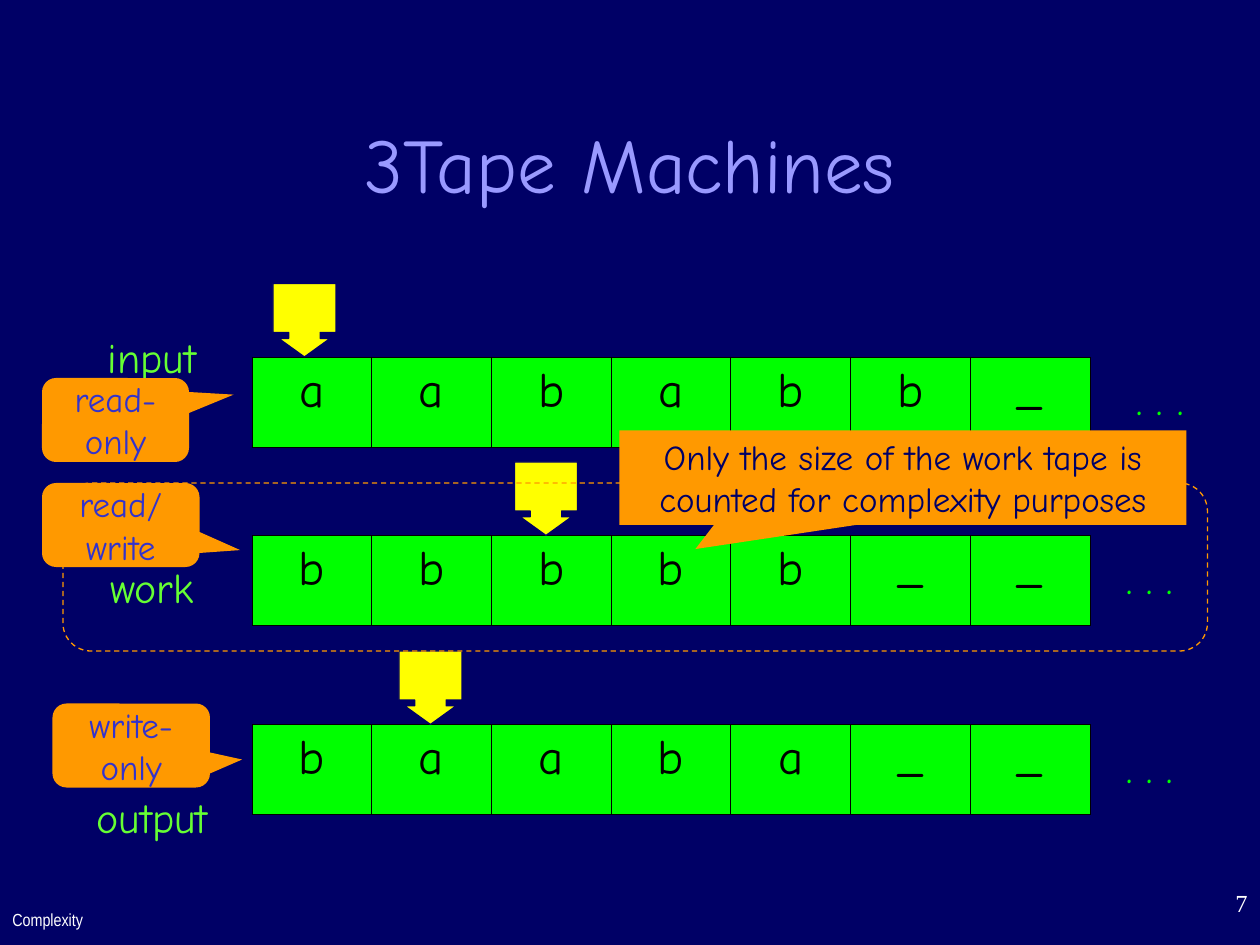
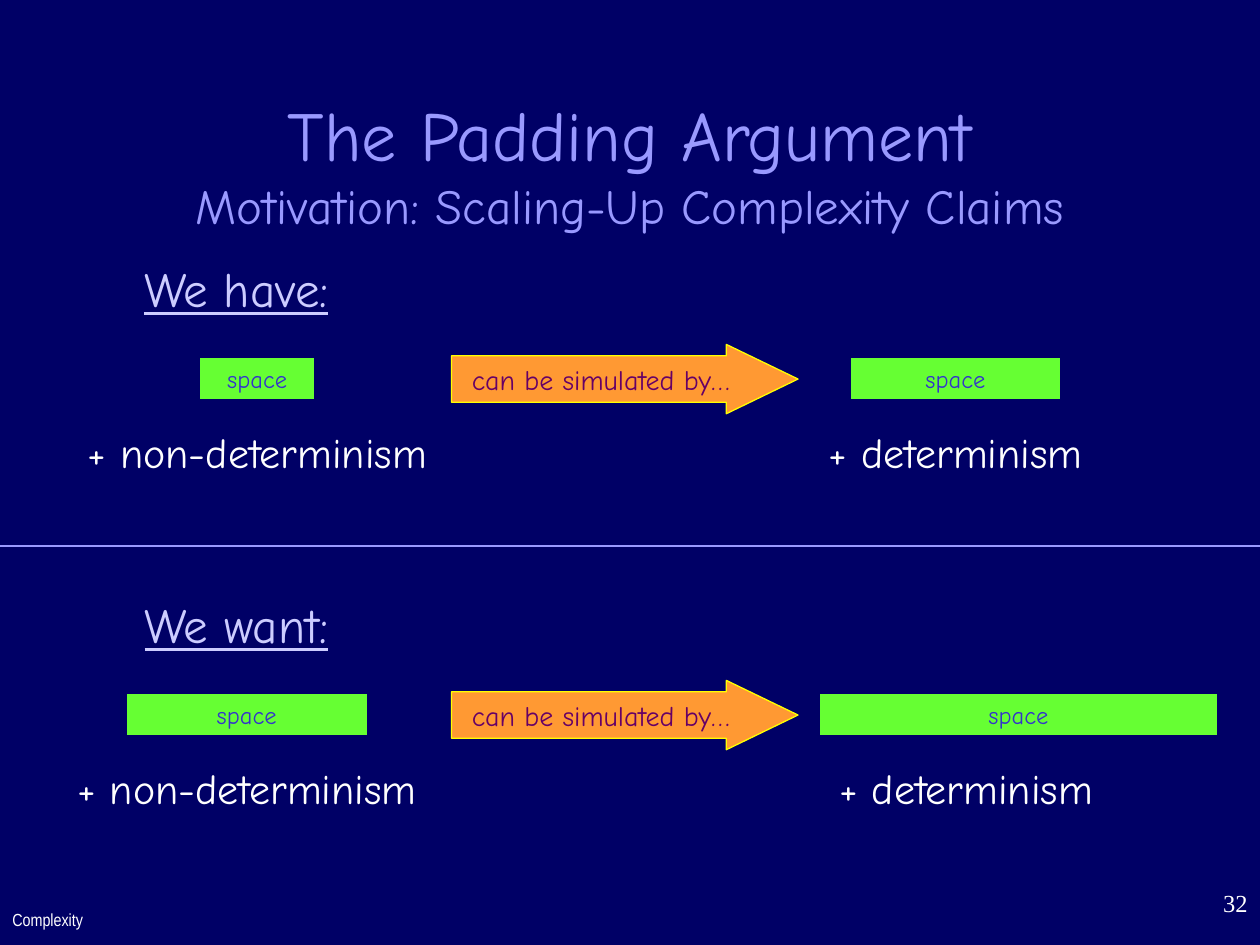
import dataclasses
import typing

import lxml.etree
import pptx
import pptx.dml.color
import pptx.enum.dml
import pptx.enum.shapes
import pptx.enum.text
import pptx.oxml.ns
import pptx.shapes.autoshape
import pptx.slide
import pptx.text.text
import pptx.util

RGBColor = pptx.dml.color.RGBColor
Shape = pptx.enum.shapes.MSO_SHAPE
Align = pptx.enum.text.PP_ALIGN
Anchor = pptx.enum.text.MSO_ANCHOR
qn = pptx.oxml.ns.qn

EMU_PER_PX = 7620
SLIDE_WIDTH, SLIDE_HEIGHT = 1200, 900

NAVY = RGBColor(0x00, 0x00, 0x66)
LAVENDER = RGBColor(0x99, 0x99, 0xFF)
PALE_LAVENDER = RGBColor(0xCC, 0xCC, 0xFF)
BLUE = RGBColor(0x33, 0x33, 0xCC)
PURPLE = RGBColor(0x66, 0x00, 0x66)
YELLOW = RGBColor(0xFF, 0xFF, 0x00)
ORANGE = RGBColor(0xFF, 0x99, 0x00)
ARROW_ORANGE = RGBColor(0xFF, 0x99, 0x33)
GREEN = RGBColor(0x00, 0xFF, 0x00)
LIME = RGBColor(0x66, 0xFF, 0x33)
BLACK = RGBColor(0x00, 0x00, 0x00)
WHITE = RGBColor(0xFF, 0xFF, 0xFF)

BODY_FONT = "Comic Neue"
LINE_WIDTH = pptx.util.Pt(0.75)
CELL_BORDER = pptx.util.Pt(0.45)
CELL_WIDTH, CELL_HEIGHT = 114, 86


class Area(typing.NamedTuple):
    left: int
    top: int
    width: int
    height: int


@dataclasses.dataclass(frozen=True)
class Tape:
    symbols: str
    top: int
    head_left: int
    dots_left: int


@dataclasses.dataclass(frozen=True)
class Callout:
    text: str
    area: Area
    adjustments: tuple[float, ...]
    color: RGBColor = BLUE
    kind: Shape = Shape.ROUNDED_RECTANGULAR_CALLOUT


@dataclasses.dataclass(frozen=True)
class Machine:
    caption: str
    bar_left: int
    bar_width: int
    caption_left: int
    caption_width: int


@dataclasses.dataclass(frozen=True)
class Claim:
    heading: str
    top: int
    machines: tuple[Machine, Machine]


TAPES = (
    Tape("aababb_", 340, 260, 1050),
    Tape("bbbbb__", 510, 490, 1040),
    Tape("baaba__", 690, 380, 1040),
)

CALLOUTS = (
    Callout("read-only", Area(40, 360, 140, 80), (0.804, -0.302, 0.167)),
    Callout("write-only", Area(50, 670, 150, 80), (0.704, 0.167, 0.167)),
    Callout("read/\nwrite", Area(40, 460, 150, 80), (0.758, 0.299, 0.167)),
    Callout(
        "Only the size of the work tape is counted for complexity purposes",
        Area(590, 410, 540, 90),
        (-0.366, 0.755),
        NAVY,
        Shape.RECTANGULAR_CALLOUT,
    ),
)

CLAIMS = (
    Claim("We have:", 240, (
        Machine("+ non-determinism", 190, 110, 50, 390),
        Machine("+ determinism", 810, 200, 710, 400),
    )),
    Claim("We want:", 560, (
        Machine("+ non-determinism", 120, 230, 40, 390),
        Machine("+ determinism", 780, 380, 720, 400),
    )),
)


def px(length: int) -> pptx.util.Emu:
    return pptx.util.Emu(length * EMU_PER_PX)


def to_emu(area: Area) -> list[pptx.util.Emu]:
    return [px(length) for length in area]


def write(
    frame: pptx.text.text.TextFrame,
    text: str,
    *,
    size: int,
    color: RGBColor,
    font: str = BODY_FONT,
    align: Align = Align.CENTER,
    underline: bool = False,
    gap: float | None = None,
) -> None:
    """Continue the last paragraph, or start one after a gap in points."""
    if gap is None:
        para = frame.paragraphs[-1]
    else:
        para = frame.add_paragraph()
        para.space_before = pptx.util.Pt(gap)
    para.alignment = align
    for index, line in enumerate(text.split("\n")):
        if index:
            para.add_line_break()
        if line:
            span = para.add_run()
            span.text = line
            span.font.name = font
            span.font.size = pptx.util.Pt(size)
            span.font.color.rgb = color
            if underline:
                span.font.underline = True


def add_box(
    slide: pptx.slide.Slide, area: Area, anchor: Anchor = Anchor.TOP
) -> pptx.text.text.TextFrame:
    frame = slide.shapes.add_textbox(*to_emu(area)).text_frame
    frame.word_wrap = True
    frame.vertical_anchor = anchor
    return frame


def add_figure(
    slide: pptx.slide.Slide,
    kind: Shape,
    area: Area,
    *,
    fill: RGBColor | None = None,
    line: RGBColor | None = None,
    adjustments: tuple[float, ...] = (),
) -> pptx.shapes.autoshape.Shape:
    figure = slide.shapes.add_shape(kind, *to_emu(area))
    figure.shadow.inherit = False
    for index, value in enumerate(adjustments):
        figure.adjustments[index] = value
    if fill is None:
        figure.fill.background()
    else:
        figure.fill.solid()
        figure.fill.fore_color.rgb = fill
    if line is None:
        figure.line.fill.background()
    else:
        figure.line.color.rgb = line
        figure.line.width = LINE_WIDTH
    figure.text_frame.word_wrap = True
    figure.text_frame.vertical_anchor = Anchor.MIDDLE
    return figure


def add_base(
    deck: pptx.presentation.Presentation, number: int
) -> tuple[pptx.slide.Slide, pptx.text.text.TextFrame]:
    """Add a slide with its footers; return it with its empty title frame."""
    slide = deck.slides.add_slide(deck.slide_layouts[6])
    slide.background.fill.solid()
    slide.background.fill.fore_color.rgb = NAVY
    title = add_box(slide, Area(90, 80, 1020, 150), Anchor.MIDDLE)
    write(add_box(slide, Area(0, 860, 130, 40)), "Complexity",
          size=10, color=WHITE, font="Arial Narrow", align=Align.LEFT)
    write(add_box(slide, Area(950, 840, 250, 60)), str(number),
          size=14, color=WHITE, font="Times New Roman", align=Align.RIGHT)
    return slide, title


def add_borders(cell: typing.Any) -> None:
    properties = cell._tc.get_or_add_tcPr()
    for index, side in enumerate(("a:lnL", "a:lnR", "a:lnT", "a:lnB")):
        border = lxml.etree.Element(qn(side), w=str(int(CELL_BORDER)))
        fill = lxml.etree.SubElement(border, qn("a:solidFill"))
        lxml.etree.SubElement(fill, qn("a:srgbClr"), val=str(BLACK))
        properties.insert(index, border)


def add_tape(slide: pptx.slide.Slide, tape: Tape) -> None:
    count = len(tape.symbols)
    area = Area(240, tape.top, count * CELL_WIDTH, CELL_HEIGHT)
    table = slide.shapes.add_table(1, count, *to_emu(area)).table
    table.first_row = False
    table.horz_banding = False
    for column, symbol in enumerate(tape.symbols):
        table.columns[column].width = px(CELL_WIDTH)
        cell = table.cell(0, column)
        cell.fill.solid()
        cell.fill.fore_color.rgb = GREEN
        add_borders(cell)
        write(cell.text_frame, symbol, size=28, color=BLACK)
    dots = add_box(slide, Area(tape.dots_left, tape.top + 10, 110, 60))
    write(dots, ". . .", size=24, color=GREEN)
    add_figure(slide, Shape.DOWN_ARROW_CALLOUT,
               Area(tape.head_left, tape.top - 70, 60, 70),
               fill=YELLOW, line=NAVY, adjustments=(0.5, 0.41, 0.295, 0.667))


def add_callout(slide: pptx.slide.Slide, callout: Callout) -> None:
    figure = add_figure(slide, callout.kind, callout.area,
                        fill=ORANGE, adjustments=callout.adjustments)
    write(figure.text_frame, callout.text, size=20, color=callout.color)


def add_claim(slide: pptx.slide.Slide, claim: Claim) -> None:
    heading = add_box(slide, Area(70, claim.top, 310, 68))
    write(heading, claim.heading, size=28, color=PALE_LAVENDER, underline=True)
    for machine in claim.machines:
        bar = add_figure(slide, Shape.RECTANGLE,
                         Area(machine.bar_left, claim.top + 100, machine.bar_width, 41),
                         fill=LIME, line=NAVY)
        write(bar.text_frame, "space", size=14, color=BLUE)
        caption = add_box(slide, Area(machine.caption_left, claim.top + 160,
                                      machine.caption_width, 60))
        write(caption, machine.caption, size=24, color=WHITE)
    arrow = add_figure(slide, Shape.RIGHT_ARROW, Area(430, claim.top + 88, 330, 66),
                       fill=ARROW_ORANGE, line=YELLOW, adjustments=(0.67, 1.034))
    write(arrow.text_frame, "can be simulated by…", size=16, color=PURPLE)


def add_divider(slide: pptx.slide.Slide, top: int) -> None:
    divider = slide.shapes.add_connector(
        pptx.enum.shapes.MSO_CONNECTOR.STRAIGHT, 0, px(top), px(SLIDE_WIDTH), px(top))
    divider.line.color.rgb = LAVENDER
    divider.line.width = LINE_WIDTH
    lxml.etree.SubElement(divider.element.spPr, qn("a:effectLst"))


def build_tapes_slide(deck: pptx.presentation.Presentation) -> None:
    slide, title = add_base(deck, 7)
    write(title, "3Tape Machines", size=44, color=LAVENDER)
    for tape in TAPES:
        add_tape(slide, tape)
    labels = add_box(slide, Area(0, 310, 290, 498))
    for label, gap in (("input", None), ("work", 102.6), ("output", 102.6)):
        write(labels, label, size=24, color=LIME, gap=gap)
    work_frame = add_figure(slide, Shape.ROUNDED_RECTANGLE, Area(60, 460, 1090, 160),
                            line=ORANGE, adjustments=(0.167,))
    work_frame.line.dash_style = pptx.enum.dml.MSO_LINE.DASH
    for callout in CALLOUTS:
        add_callout(slide, callout)


def build_padding_slide(deck: pptx.presentation.Presentation) -> None:
    slide, title = add_base(deck, 32)
    write(title, "The Padding Argument\n", size=40, color=LAVENDER)
    write(title, "Motivation: Scaling-Up Complexity Claims", size=28, color=LAVENDER)
    for claim in CLAIMS:
        add_claim(slide, claim)
    add_divider(slide, 520)


def main() -> None:
    deck = pptx.Presentation()
    deck.slide_width = px(SLIDE_WIDTH)
    deck.slide_height = px(SLIDE_HEIGHT)
    build_tapes_slide(deck)
    build_padding_slide(deck)
    deck.save("out.pptx")


if __name__ == "__main__":
    main()
